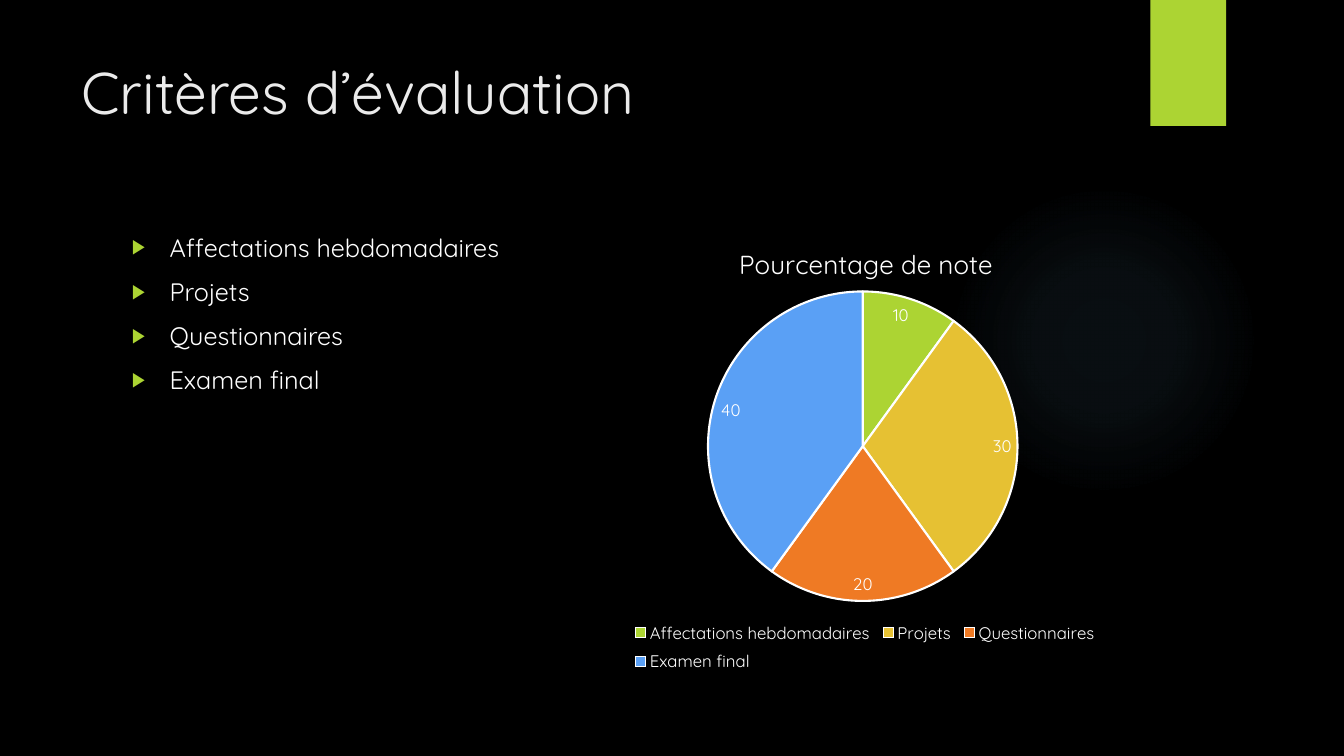
from lxml import etree
from pptx import Presentation
from pptx.chart.data import CategoryChartData
from pptx.dml.color import RGBColor
from pptx.enum import chart as charts, shapes, text
from pptx.oxml import parse_xml
from pptx.oxml.ns import nsdecls, qn
from pptx.util import Pt

FONT = "Quicksand"
WHITE, LIME = "FFFFFF", "ACD433"
CRITERIA = {
    "Affectations hebdomadaires": (10, LIME),
    "Projets": (30, "E6C133"),
    "Questionnaires": (20, "EF7A24"),
    "Examen final": (40, "5AA0F5"),
}
FRAME_FORMAT = {
    "word_wrap": True,
    "vertical_anchor": text.MSO_ANCHOR.TOP,
    "auto_size": text.MSO_AUTO_SIZE.NONE,
}


def colour(value):
    return RGBColor.from_string(value)


def apply(target, formats):
    for name, value in formats.items():
        setattr(target, name, value)


def style_font(font, size, value):
    apply(font, {"name": FONT, "size": Pt(size), "bold": False})
    font.color.rgb = colour(value)


def fill_solid(target, value):
    target.fill.solid()
    target.fill.fore_color.rgb = colour(value)


def place(shape, left, top, width, height):
    apply(shape, {"left": Pt(left), "top": Pt(top), "width": Pt(width), "height": Pt(height)})


def add_plain_shape(page, kind, left, top, width, height, fill):
    shape = page.shapes.add_shape(kind, Pt(left), Pt(top), Pt(width), Pt(height))
    shape.shadow.inherit = False
    fill_solid(shape, fill)
    shape.line.fill.background()
    return shape


def add_glow(page):
    glow = add_plain_shape(page, shapes.MSO_SHAPE.OVAL, 677.5, 131.8, 221.8, 221.8, "7AC4F0")
    stops = "".join(
        f'<a:gs pos="{position * 1000}"><a:srgbClr val="7AC4F0">'
        f'<a:alpha val="{alpha * 1000}"/></a:srgbClr></a:gs>'
        for position, alpha in ((0, 7), (36, 6), (69, 0), (100, 0))
    )
    gradient = parse_xml(
        f'<a:gradFill {nsdecls("a")} rotWithShape="1"><a:gsLst>{stops}</a:gsLst>'
        '<a:path path="circle"><a:fillToRect l="50000" t="50000" r="50000" b="50000"/>'
        "</a:path></a:gradFill>"
    )
    solid = glow.element.spPr.find(qn("a:solidFill"))
    glow.element.spPr.replace(solid, gradient)


def add_title(page, wording):
    title = page.shapes.title
    place(title, 51, 36, 741, 110)
    title.text_frame.text = wording
    apply(title.text_frame, FRAME_FORMAT)
    para = title.text_frame.paragraphs[0]
    para.alignment = text.PP_ALIGN.LEFT
    style_font(para.runs[0].font, 42, "EBEBEB")


def add_bullet(para):
    properties = para._p.get_or_add_pPr()
    for name, value in {"marL": Pt(27), "indent": Pt(-27)}.items():
        properties.set(name, str(value))
    bullet_colour = etree.SubElement(properties, qn("a:buClr"))
    etree.SubElement(bullet_colour, qn("a:srgbClr"), val=LIME)
    etree.SubElement(properties, qn("a:buSzPct"), val="80000")
    etree.SubElement(properties, qn("a:buChar"), char="▶")


def add_list(page, items):
    body = page.placeholders[1]
    place(body, 87, 162, 346, 330)
    body.text_frame.text = "\n".join(items)
    apply(body.text_frame, FRAME_FORMAT)
    for para in body.text_frame.paragraphs:
        apply(para, {"space_before": Pt(10), "alignment": text.PP_ALIGN.LEFT})
        add_bullet(para)
        style_font(para.runs[0].font, 18, WHITE)


def add_layout(parent, before, **settings):
    values = "".join(f'<c:{name} val="{value}"/>' for name, value in settings.items())
    layout = parse_xml(
        f'<c:layout {nsdecls("c")}><c:manualLayout>{values}</c:manualLayout></c:layout>'
    )
    for old in parent.findall(qn("c:layout")):
        parent.remove(old)
    parent.find(qn(before)).addprevious(layout)


def add_pie(page):
    data = CategoryChartData()
    data.categories = list(CRITERIA)
    data.add_series("Pourcentage de note", [value for value, _ in CRITERIA.values()])
    frame = page.shapes.add_chart(
        charts.XL_CHART_TYPE.PIE, Pt(445), Pt(162), Pt(346), Pt(330), data)
    chart = frame.chart
    style_font(chart.font, 10, WHITE)

    heading = chart.chart_title
    heading.text_frame.text = "Pourcentage de note"
    style_font(heading.text_frame.paragraphs[0].runs[0].font, 18.6, WHITE)
    add_layout(heading._element, "c:overlay", xMode="edge", yMode="edge", x=0.23, y=0.03)

    chart.has_legend = True
    legend = chart.legend
    apply(legend, {"position": charts.XL_LEGEND_POSITION.BOTTOM, "include_in_layout": False})
    style_font(legend.font, 12, WHITE)
    add_layout(legend._element, "c:overlay", xMode="edge", yMode="edge",
               x=0.01, y=0.84, w=0.98, h=0.14)

    plot = chart.plots[0]
    apply(plot, {"vary_by_categories": True, "has_data_labels": True})
    apply(plot.data_labels, {"show_value": True, "show_percentage": False,
                             "position": charts.XL_LABEL_POSITION.INSIDE_END})
    style_font(plot.data_labels.font, 12, WHITE)
    for index, (_, fill) in enumerate(CRITERIA.values()):
        slice_format = plot.series[0].points[index].format
        fill_solid(slice_format, fill)
        slice_format.line.color.rgb = colour(WHITE)
        slice_format.line.width = Pt(1.5)
    add_layout(plot._element.getparent(), "c:pieChart", layoutTarget="inner",
               xMode="edge", yMode="edge", x=0.17, y=0.14, w=0.65, h=0.67)


def main():
    deck = Presentation()
    apply(deck, {"slide_width": Pt(960), "slide_height": Pt(540)})
    page = deck.slides.add_slide(deck.slide_layouts[1])
    fill_solid(page.background, "000000")
    add_glow(page)
    add_plain_shape(page, shapes.MSO_SHAPE.RECTANGLE, 821.8, 0, 54, 90, LIME)
    add_title(page, "Critères d’évaluation")
    add_list(page, CRITERIA)
    add_pie(page)
    deck.save("out.pptx")


if __name__ == "__main__":
    main()
